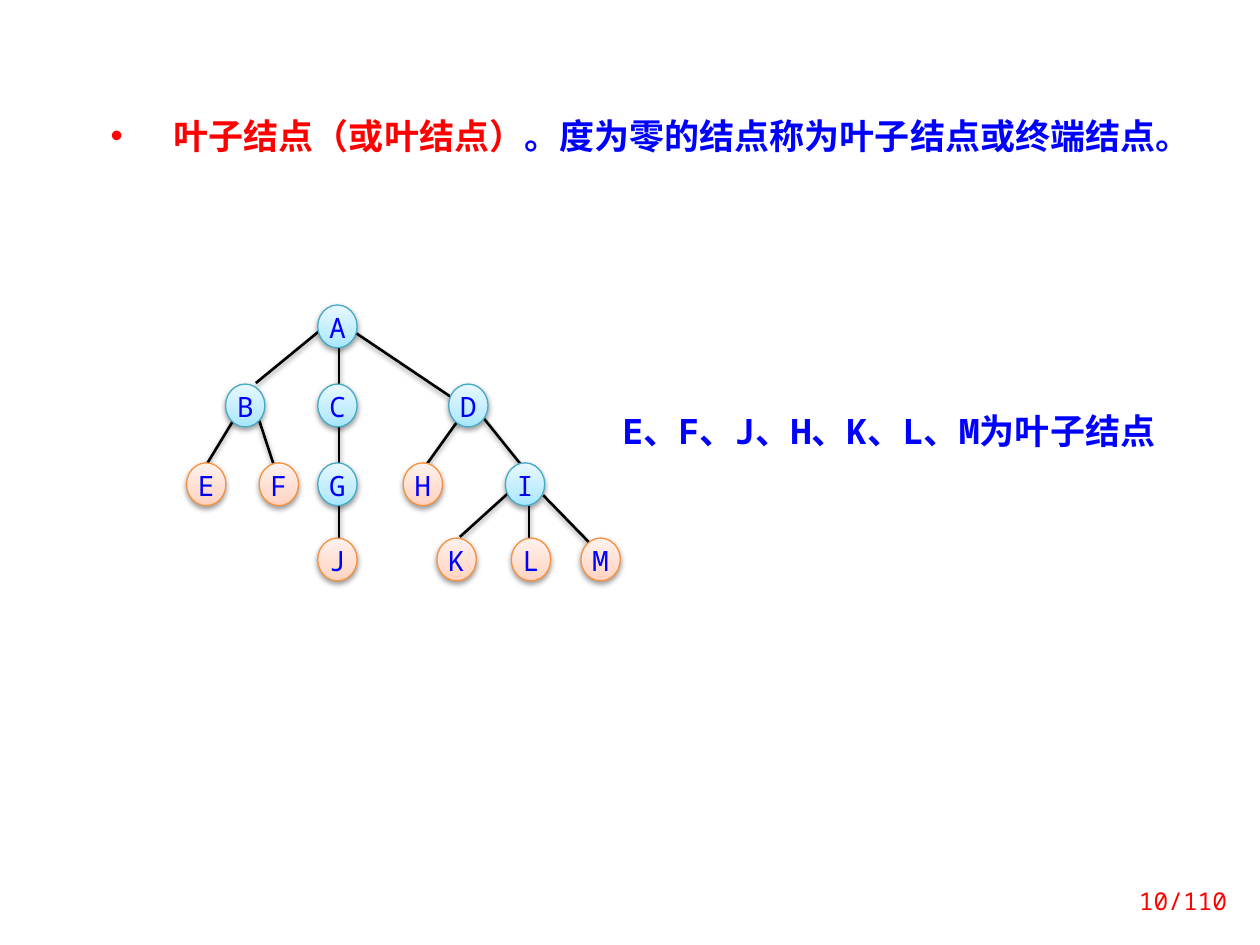
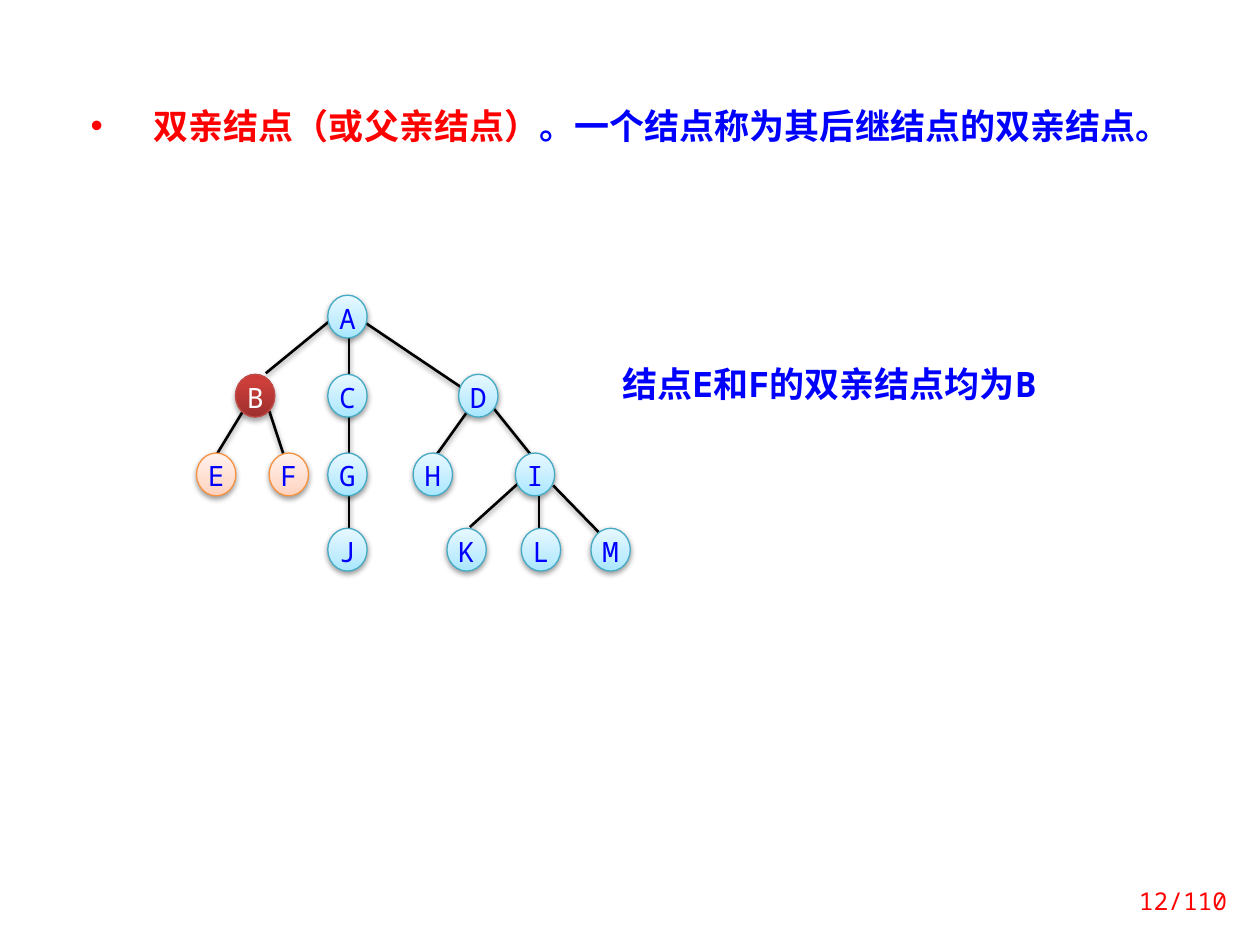
from lxml import etree
from pptx import Presentation
from pptx.dml.color import RGBColor
from pptx.enum.shapes import MSO_CONNECTOR, MSO_SHAPE
from pptx.enum.text import MSO_ANCHOR, MSO_AUTO_SIZE, PP_ALIGN
from pptx.oxml import parse_xml
from pptx.oxml.ns import qn
from pptx.util import Pt

LINE, OVAL = MSO_CONNECTOR.STRAIGHT, MSO_SHAPE.OVAL
TOP, MIDDLE = MSO_ANCHOR.TOP, MSO_ANCHOR.MIDDLE
GROW = MSO_AUTO_SIZE.SHAPE_TO_FIT_TEXT
LEFT, CENTER, RIGHT = PP_ALIGN.LEFT, PP_ALIGN.CENTER, PP_ALIGN.RIGHT

MONO, HAN = "Noto Sans Mono", "Noto Sans CJK SC"
COLORS = {"red": "FF0000", "blue": "0000FF", "black": "000000", "white": "FFFFFF"}
SPACE = 'xmlns:a="http://schemas.openxmlformats.org/drawingml/2006/main"'

# Node looks: gradient stops from the bottom up, outline, letter, shadow
LOOKS = {
    "inner": ([(0, "A7E6FF"), (35, "C1EDFF"), (100, "E7F8FF")], "46AAC5", "blue", (38, 1.6)),
    "leaf": ([(0, "FFD2BD"), (35, "FFDED0"), (100, "FFF2ED")], "F69240", "blue", (38, 1.6)),
    "parent": ([(0, "9C2F2D"), (80, "CB3E3A"), (100, "CE3B37")], "BF4C48", "white", (35, 1.8)),
}

# Tree layout in points, measured from the tree's top left corner
LEVELS = [0, 45.2, 90.2, 133.2]
NODES = {
    "A": (75, 0), "B": (22.3, 1), "C": (75, 1), "D": (149.8, 1),
    "E": (0, 2), "F": (41.5, 2), "G": (75, 2), "H": (123.8, 2), "I": (182.2, 2),
    "J": (75, 3), "K": (143.1, 3), "L": (185.6, 3), "M": (225.4, 3),
}
EDGES = [
    (75.6, 15.1, 39.6, 44.6),  # A-B
    (87.1, 23, 87.1, 136.8),  # A-C-G-J
    (96.5, 15.8, 151.2, 52.6),  # A-D
    (26.6, 66.2, 10.8, 92.2),  # B-E
    (41.6, 66.2, 51.3, 95.8),  # B-F
    (157, 63.4, 135.4, 93.6),  # D-H
    (169.9, 64.8, 193, 93.6),  # D-I
    (186.5, 105.1, 156.2, 132.5),  # I-K
    (195.8, 114.5, 195.8, 136.8),  # I-L
    (203.8, 108.7, 230.4, 136),  # I-M
]


class Deck:
    def __init__(self):
        self.prs = Presentation()
        self.prs.slide_width, self.prs.slide_height = Pt(720), Pt(540)
        self.slide = None

    def page(self, number):
        self.slide = self.prs.slides.add_slide(self.prs.slide_layouts[6])
        self.text((626.4, 500.4, 82, 28.8), [(f"{number}/110", MONO, "red")],
                  size=14, bold=False, align=RIGHT, anchor=MIDDLE)

    def fill_runs(self, para, runs, size, bold):
        for words, face, color in runs:
            run = para.add_run()
            run.text = words
            font = run.font
            font.size, font.bold, font.name = Pt(size), bold, face
            font.color.rgb = RGBColor.from_string(COLORS[color])
            etree.SubElement(font._element, qn("a:ea")).set("typeface", HAN)

    def text(self, box, runs, size=20, bold=True, align=LEFT, anchor=TOP,
             spacing=None, bullet=False):
        frame = self.slide.shapes.add_textbox(*map(Pt, box)).text_frame
        frame.word_wrap, frame.vertical_anchor = True, anchor
        if anchor == TOP:
            frame.auto_size = GROW
        para = frame.paragraphs[0]
        para.alignment, para.line_spacing = align, spacing
        if bullet:
            props = para._p.get_or_add_pPr()
            props.set("marL", str(Pt(36)))
            props.set("indent", str(-Pt(36)))
            etree.SubElement(props, qn("a:buFont")).set("typeface", "Arial")
            etree.SubElement(props, qn("a:buChar")).set("char", "•")
        self.fill_runs(para, runs, size, bold)

    def shade(self, shape, alpha=38, drop=1.6):
        shape._element.spPr.append(parse_xml(
            f'<a:effectLst {SPACE}><a:outerShdw blurRad="{Pt(3.1)}" dist="{Pt(drop)}" '
            f'dir="5400000" rotWithShape="0"><a:srgbClr val="{COLORS["black"]}">'
            f'<a:alpha val="{alpha * 1000}"/></a:srgbClr></a:outerShdw></a:effectLst>'))

    def edge(self, group, ends):
        line = group.shapes.add_connector(LINE, *map(Pt, ends))
        line.line.width = Pt(1.5)
        line.line.color.rgb = RGBColor.from_string(COLORS["black"])
        self.shade(line)

    def node(self, group, name, x, y, look):
        stops, rim, ink, shadow = LOOKS[look]
        oval = group.shapes.add_shape(OVAL, Pt(x), Pt(y), Pt(22.5), Pt(24.5))
        marks = "".join(f'<a:gs pos="{pos * 1000}"><a:srgbClr val="{tone}"/></a:gs>'
                        for pos, tone in stops)
        oval._element.spPr.append(parse_xml(
            f'<a:gradFill {SPACE} rotWithShape="1"><a:gsLst>{marks}</a:gsLst>'
            '<a:lin ang="16200000" scaled="0"/></a:gradFill>'))
        oval.line.width = Pt(0.75)
        oval.line.color.rgb = RGBColor.from_string(rim)
        self.shade(oval, *shadow)
        frame = oval.text_frame
        frame.margin_left = frame.margin_right = frame.margin_top = frame.margin_bottom = 0
        frame.vertical_anchor = TOP
        para = frame.paragraphs[0]
        para.alignment, para.line_spacing = CENTER, Pt(19)
        self.fill_runs(para, [(name, MONO, ink)], 16, False)

    def tree(self, left, top, leaves, parents=""):
        group = self.slide.shapes.add_group_shape()
        for x1, y1, x2, y2 in EDGES:
            self.edge(group, (left + x1, top + y1, left + x2, top + y2))
        for name, (x, level) in NODES.items():
            look = "leaf" if name in leaves else "parent" if name in parents else "inner"
            self.node(group, name, left + x, top + LEVELS[level], look)


def main():
    deck = Deck()

    # Leaf nodes
    deck.page(10)
    deck.text((56.2, 62, 635.8, 31.7),
              [("叶子结点（或叶结点）", HAN, "red"),
               ("。度为零的结点称为叶子结点或终端结点。", MONO, "blue")], bullet=True)
    deck.text((348.5, 230.6, 320.4, 31.7),
              [("E、F、J、H、K、L、M为叶子结点", MONO, "blue")])
    deck.tree(106.6, 174.3, "EFJHKLM")

    # Parent nodes
    deck.page(12)
    deck.text((44.8, 56.3, 624.2, 31.7),
              [("双亲结点（或父亲结点", HAN, "red"), ("）", MONO, "red"),
               ("。一个结点称为其后继结点的双亲结点。", MONO, "blue")], bullet=True)
    deck.text((348.5, 208.1, 253.4, 26.6),
              [("结点E和F的双亲结点均为B", MONO, "blue")], spacing=0.8)
    deck.tree(112.3, 168.7, "EF", "B")

    deck.prs.save("out.pptx")


if __name__ == "__main__":
    main()
